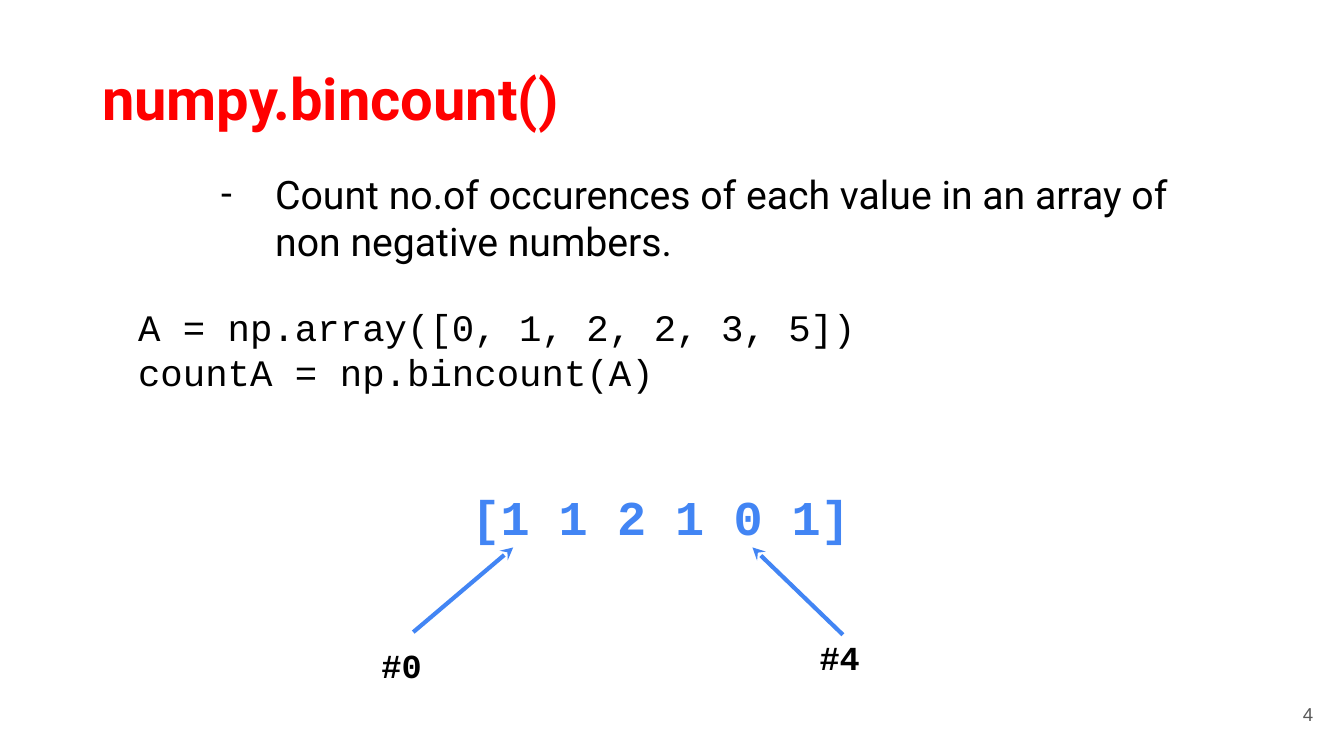
from dataclasses import dataclass

from lxml import etree
from pptx import Presentation
from pptx.dml.color import RGBColor
from pptx.enum.shapes import MSO_CONNECTOR
from pptx.enum.text import MSO_ANCHOR, MSO_AUTO_SIZE, PP_ALIGN
from pptx.oxml.ns import qn
from pptx.util import Cm, Pt

STRAIGHT = MSO_CONNECTOR.STRAIGHT
LEFT, RIGHT = PP_ALIGN.LEFT, PP_ALIGN.RIGHT
TOP, MIDDLE = MSO_ANCHOR.TOP, MSO_ANCHOR.MIDDLE
NO_AUTOFIT = MSO_AUTO_SIZE.NONE


@dataclass(frozen=True)
class Theme:
    red: str = "FF0000"
    blue: str = "4285F4"
    black: str = "000000"
    grey: str = "595959"
    heading_font: str = "Roboto"
    code_font: str = "Courier New"
    number_font: str = "Arial"
    title_size: int = 31
    body_size: int = 21
    code_size: int = 20
    result_size: int = 26
    label_size: int = 18
    number_size: int = 10
    arrow_width: float = 2.25


theme = Theme()


def fill_text(shape, box, text, font, size, color, bold=False, align=LEFT, anchor=TOP):
    """Place a shape (left, top, width, height in cm) and set its formatted text."""
    shape.left, shape.top, shape.width, shape.height = map(Cm, box)
    frame = shape.text_frame
    frame.text = text
    frame.word_wrap = True
    frame.auto_size = NO_AUTOFIT
    frame.vertical_anchor = anchor
    frame.margin_left = frame.margin_right = Cm(0.25)
    frame.margin_top = frame.margin_bottom = Cm(0.25)
    for paragraph in frame.paragraphs:
        paragraph.alignment = align
        paragraph.space_before = Pt(0)
        for run in paragraph.runs:
            run.font.name = font
            run.font.size = Pt(size)
            run.font.bold = bold
            run.font.color.rgb = RGBColor.from_string(color)


presentation = Presentation()
presentation.slide_width, presentation.slide_height = Cm(25.4), Cm(14.28)
slide = presentation.slides.add_slide(presentation.slide_layouts[1])
title, body = slide.placeholders

# Title and description
fill_text(title, (1.68, 0.94, 10.69, 1.83), "numpy.bincount()",
          theme.heading_font, theme.title_size, theme.red, bold=True)
fill_text(body, (3.68, 2.97, 18.67, 2.31),
          "Count no.of occurences of each value in an array of non negative numbers.",
          theme.heading_font, theme.body_size, theme.black)

# Dash bullet
properties = body.text_frame.paragraphs[0]._p.get_or_add_pPr()
properties.set("marL", str(Cm(1.27)))
properties.set("indent", str(Cm(-1.02)))
bullet_color = etree.SubElement(properties, qn("a:buClr"))
etree.SubElement(bullet_color, qn("a:srgbClr"), val=theme.black)
etree.SubElement(properties, qn("a:buFont"), typeface=theme.heading_font)
etree.SubElement(properties, qn("a:buChar"), char="-")

# Code, result and slide number
code = slide.shapes.add_textbox(0, 0, 0, 0)
fill_text(code, (2.36, 5.49, 19.58, 2.24),
          "A = np.array([0, 1, 2, 2, 3, 5])\ncountA = np.bincount(A)",
          theme.code_font, theme.code_size, theme.black)
result = slide.shapes.add_textbox(0, 0, 0, 0)
fill_text(result, (8.66, 8.94, 10.69, 1.63), "[1 1 2 1 0 1]",
          theme.code_font, theme.result_size, theme.blue, bold=True)
number = slide.shapes.add_textbox(0, 0, 0, 0)
fill_text(number, (23.55, 12.95, 1.52, 1.09), "4", theme.number_font,
          theme.number_size, theme.grey, align=RIGHT, anchor=MIDDLE)

# Index labels, each with an arrow up to its count
indexes = [
    # text, label left and top, arrow tip x, arrow tail, joined to the label
    ("#0", 6.96, 11.94, 9.7, (7.81, 11.94), True),
    ("#4", 15.24, 11.79, 14.22, (15.93, 11.99), False),
]
for text, left, top, tip, tail, joined in indexes:
    label = slide.shapes.add_textbox(0, 0, 0, 0)
    fill_text(label, (left, top, 1.7, 1.27), text,
              theme.code_font, theme.label_size, theme.black, bold=True)
    arrow = slide.shapes.add_connector(STRAIGHT, Cm(tip), Cm(10.34), *map(Cm, tail))
    if joined:
        arrow.end_connect(label, 0)
    arrow.line.color.rgb = RGBColor.from_string(theme.blue)
    arrow.line.width = Pt(theme.arrow_width)
    etree.SubElement(arrow.line._get_or_add_ln(), qn("a:headEnd"), type="stealth")
    etree.SubElement(arrow._element.spPr, qn("a:effectLst"))

presentation.save("out.pptx")
